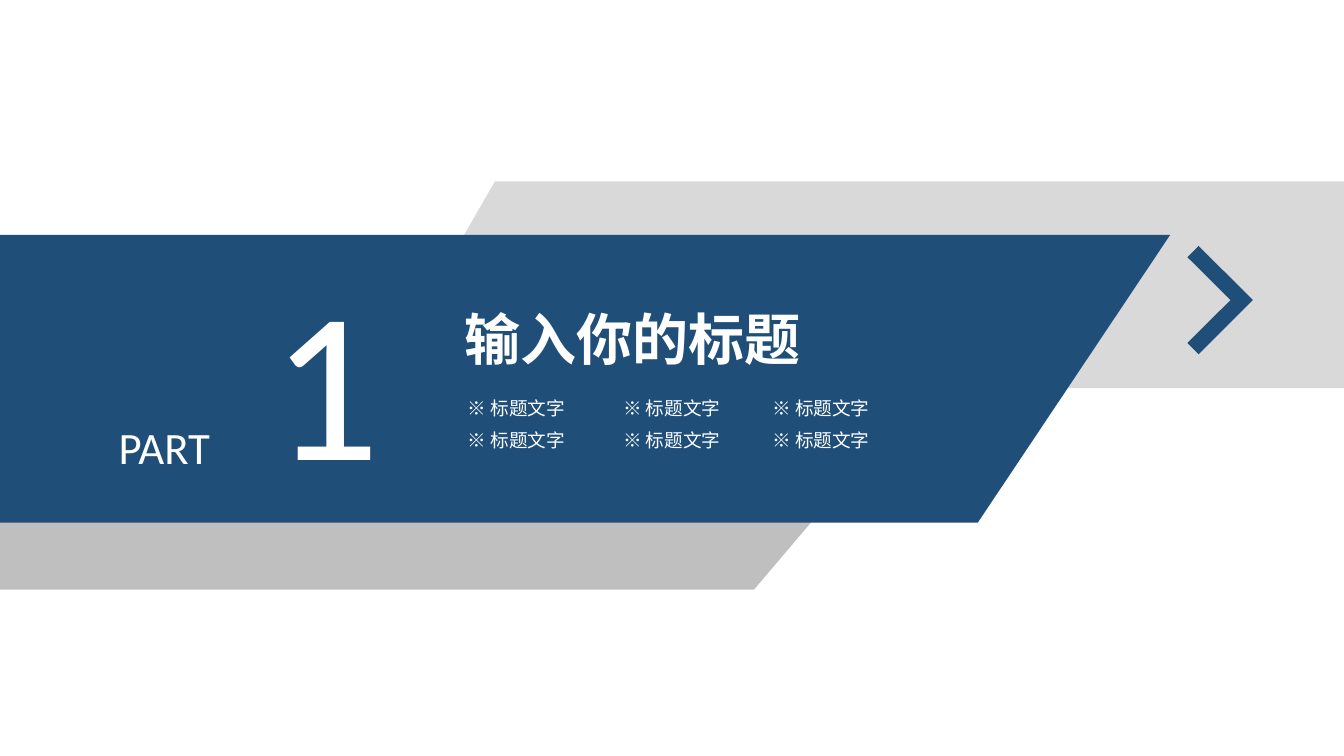
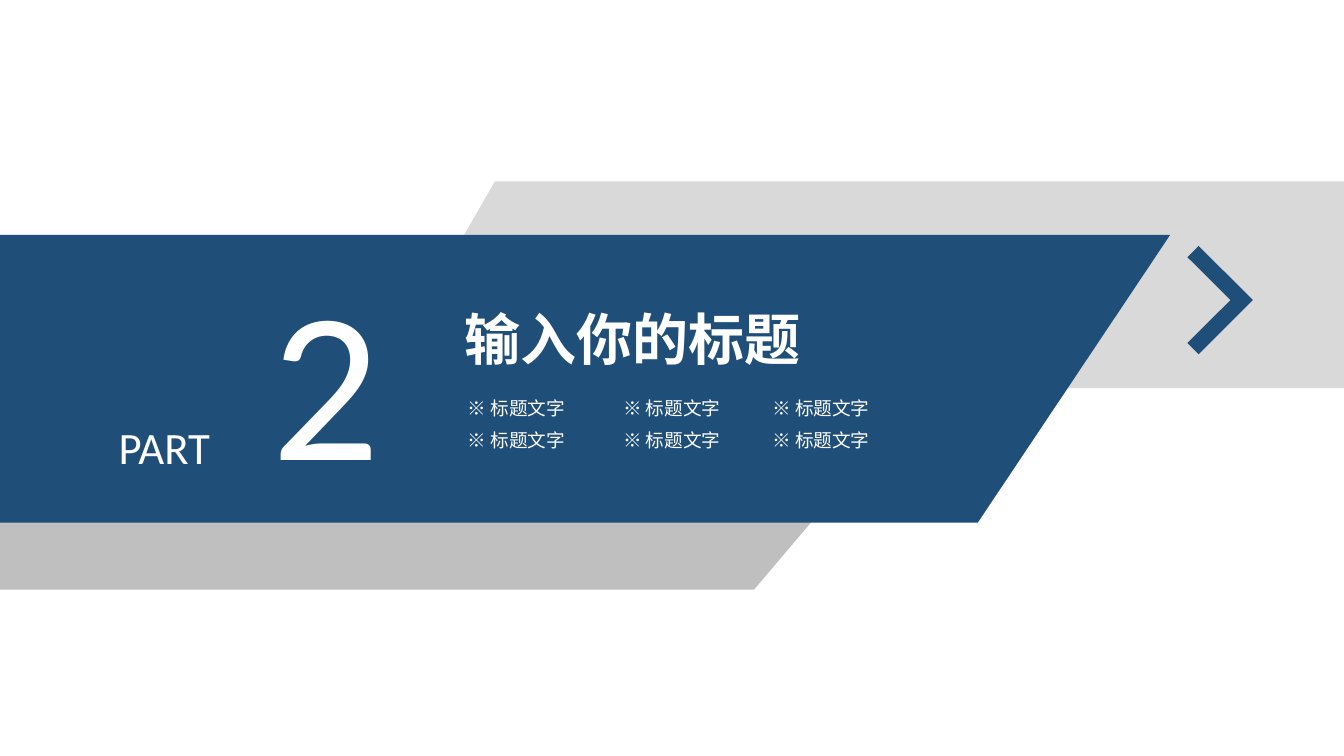
"""Build two section slides whose bands and label sit on a shared layout."""
from pptx import Presentation
from pptx.dml.color import RGBColor
from pptx.enum.text import MSO_ANCHOR, MSO_AUTO_SIZE, PP_ALIGN
from pptx.util import Inches, Pt

WHITE, LIGHT, GREY, BLUE = "FFFFFF", "D9D9D9", "BFBFBF", "1F4E79"
FONT = "Calibri"

deck = Presentation()
deck.slide_width, deck.slide_height = Inches(13.33), Inches(7.5)


def place(x, y):
    """Turn percent shares of the slide into lengths."""
    return int(deck.slide_width * x / 100), int(deck.slide_height * y / 100)


def write(shape, text, size, align, bold=False):
    """Put one white paragraph into a shape."""
    frame = shape.text_frame
    frame.text = text
    frame.word_wrap = True
    frame.auto_size = MSO_AUTO_SIZE.NONE
    frame.vertical_anchor = MSO_ANCHOR.TOP
    para = frame.paragraphs[0]
    para.alignment = align
    font = para.runs[0].font
    font.name, font.size, font.bold = FONT, Pt(size), bold
    font.color.rgb = RGBColor.from_string(WHITE)


layout = deck.slide_layouts[5]
head = layout.placeholders[0]
head.left, head.top = place(33.83, 39.6)
head.width, head.height = place(32.03, 10.27)

slides = [deck.slides.add_slide(layout) for _ in range(2)]

bands = [
    (LIGHT, [(36.83, 24), (100, 24), (100, 51.33), (27.97, 51.33)]),
    (GREY, [(0, 50.67), (69.15, 50.67), (56.1, 78), (0, 78)]),
    (BLUE, [(0, 31.07), (87.07, 31.07), (72.75, 69.15), (0, 69.15)]),
    (BLUE, [(89.18, 32.53), (93.22, 39.7), (89.18, 46.87),
            (88.35, 45.37), (91.55, 39.7), (88.35, 34.03)]),
]
shared = []
for color, points in bands:
    corners = [place(x, y) for x, y in points]
    pen = slides[0].shapes.build_freeform(*corners[0])
    pen.add_line_segments(corners[1:], close=True)
    band = pen.convert_to_shape()
    band.shadow.inherit = False
    band.fill.solid()
    band.fill.fore_color.rgb = RGBColor.from_string(color)
    band.line.fill.background()
    shared.append(band)

label = slides[0].shapes.add_textbox(*place(6.53, 54.8), *place(11.4, 8.53))
write(label, "PART", 32, PP_ALIGN.CENTER)
shared.append(label)

for mark, shape in enumerate(shared, 20):
    shape._element.nvSpPr.cNvPr.set("id", str(mark))
    layout.shapes._spTree.append(shape._element)

for part, slide in enumerate(slides, 1):
    write(slide.shapes.title, "输入你的标题", 40, PP_ALIGN.JUSTIFY, True)
    digit = slide.shapes.add_textbox(*place(15.08, 31.87), *place(18.3, 35.73))
    write(digit, str(part), 153.3, PP_ALIGN.CENTER)
    for row in range(2):
        for left in (34.13, 45.68, 56.78):
            topic = slide.shapes.add_textbox(
                *place(left, 52 + 4.13 * row), *place(11.25, 4.13))
            write(topic, "※ 标题文字", 13.3, PP_ALIGN.LEFT)
            frame = topic.text_frame
            frame.margin_left = frame.margin_right = Inches(0.09)
            frame.margin_top = frame.margin_bottom = Inches(0.04)

deck.save("out.pptx")
